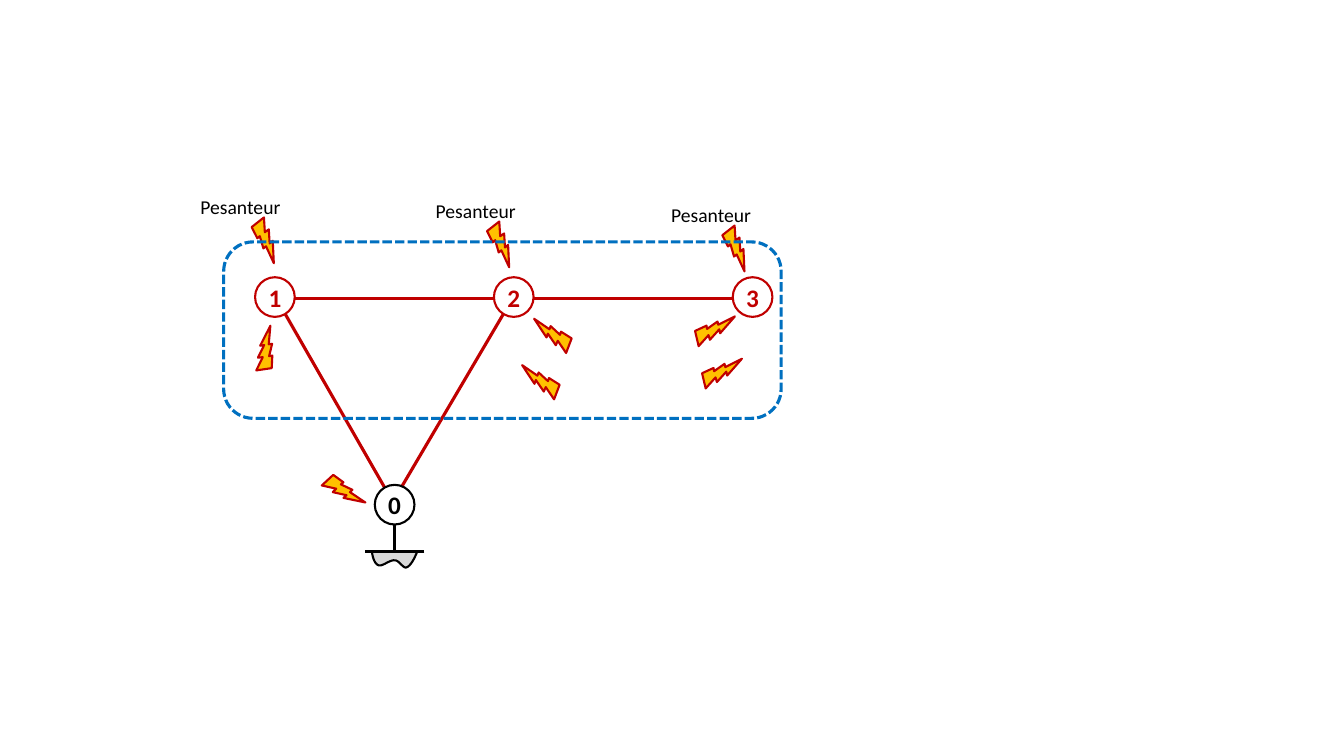
from pptx import Presentation
from pptx.dml.color import RGBColor
from pptx.enum.dml import MSO_LINE
from pptx.enum.shapes import MSO_CONNECTOR, MSO_SHAPE
from pptx.enum.text import MSO_ANCHOR, MSO_AUTO_SIZE, PP_ALIGN
from pptx.oxml.ns import qn
from pptx.util import Pt
from lxml import etree

STRAIGHT = MSO_CONNECTOR.STRAIGHT
OVAL = MSO_SHAPE.OVAL
BOLT = MSO_SHAPE.LIGHTNING_BOLT
ROUNDED = MSO_SHAPE.ROUNDED_RECTANGLE
DASH = MSO_LINE.SQUARE_DOT
MIDDLE = MSO_ANCHOR.MIDDLE
FIT = MSO_AUTO_SIZE.SHAPE_TO_FIT_TEXT
CENTER = PP_ALIGN.CENTER

BLACK = RGBColor(0, 0, 0)
WHITE = RGBColor(255, 255, 255)
RED = RGBColor(0xC0, 0, 0)
BLUE = RGBColor(0, 0x70, 0xC0)
GOLD = RGBColor(0xFF, 0xC0, 0)
GREY = RGBColor(0xD9, 0xD9, 0xD9)

FONT = "Calibri"
NODE_SIZE = 28.35
BOLT_SIZE = 25.9
THIN, THICK = 1.5, 2.25

NODES = [
    ("1", 196.4, 212.2, RED),
    ("2", 367, 212.2, RED),
    ("3", 537.6, 212.2, RED),
    ("0", 281.9, 360.5, BLACK),
]
LINKS = [
    (196.5, 211.7, 281.5, 360),
    (367, 211.7, 280.1, 359.3),
    (196.5, 213, 537.6, 213),
]
GROUND_LINES = [(281.8, 393.8, 281.8, 374.6), (303.1, 393.8, 260.6, 393.8)]
SOIL_START = (265.7, 394.6)
SOIL_CURVES = [
    ((266.4, 398.9), (267.8, 403.2), (270.7, 403.9)),
    ((273.6, 404.6), (278.6, 399.6), (282.2, 400.3)),
    ((285.1, 400.3), (288, 406.1), (290.2, 405.4)),
    ((293, 404.6), (295.9, 399.6), (298.1, 393.8)),
]
CURVE_STEPS = 10

CONTACT_BOLTS = [
    (176.4, 237.6, 146.9, True),
    (231.8, 337.7, 341.9, False),
    (382.3, 226.8, 86.3, True),
    (496.8, 223.2, 281.3, False),
    (373.7, 259.9, 86.3, True),
    (501.8, 253.4, 281.3, False),
]
GRAVITY = "Pesanteur"
GRAVITY_COUNT = 3
GRAVITY_STEP = (168.1, 2.9)
GRAVITY_BOLT = (177.1, 157.7)
GRAVITY_LABEL = (135.4, 135.4, 72.7, 24.5)
SYSTEM = (159.8, 172.8, 398.2, 126)

deck = Presentation()
deck.slide_width, deck.slide_height = Pt(960), Pt(540)
page = deck.slides.add_slide(deck.slide_layouts[6])


def paint(shape, fill, line, width):
    shape.shadow.inherit = False
    if fill is None:
        shape.fill.background()
    else:
        shape.fill.solid()
        shape.fill.fore_color.rgb = fill
    shape.line.color.rgb = line
    shape.line.width = Pt(width)


def add_shape(kind, frame, fill, line, width):
    shape = page.shapes.add_shape(kind, *map(Pt, frame))
    paint(shape, fill, line, width)
    return shape


def add_line(ends, color):
    line = page.shapes.add_connector(STRAIGHT, *map(Pt, ends))
    line.line.color.rgb = color
    line.line.width = Pt(THICK)
    etree.SubElement(line.element.spPr, qn("a:effectLst"))


def write(box, text, size, color, bold):
    frame = box.text_frame
    para = frame.paragraphs[0]
    para.text = text
    para.alignment = CENTER
    para.font.name = FONT
    para.font.size = Pt(size)
    para.font.bold = bold
    para.font.color.rgb = color
    return frame


def add_node(name, x, y, color):
    corner = (x - NODE_SIZE / 2, y - NODE_SIZE / 2)
    node = add_shape(OVAL, (*corner, NODE_SIZE, NODE_SIZE), WHITE, color, THIN)
    frame = write(node, name, 18, color, True)
    frame.vertical_anchor = MIDDLE
    frame.margin_left = frame.margin_right = 0
    frame.margin_top = frame.margin_bottom = 0


def add_bolt(x, y, angle, mirrored):
    bolt = add_shape(BOLT, (x, y, BOLT_SIZE, BOLT_SIZE), GOLD, RED, THIN)
    bolt.rotation = angle
    if mirrored:
        bolt.element.spPr.xfrm.set("flipH", "1")


def curve_points(start, curves):
    for first, second, end in curves:
        for step in range(1, CURVE_STEPS + 1):
            t = step / CURVE_STEPS
            u = 1 - t
            yield tuple(
                Pt(a * u**3 + 3 * b * u * u * t + 3 * c * u * t * t + d * t**3)
                for a, b, c, d in zip(start, first, second, end)
            )
        start = end


outline = page.shapes.build_freeform(*map(Pt, SOIL_START))
outline.add_line_segments(list(curve_points(SOIL_START, SOIL_CURVES)), close=False)
paint(outline.convert_to_shape(), GREY, BLACK, THIN)

for link in LINKS:
    add_line(link, RED)
for node in NODES:
    add_node(*node)
for ends in GROUND_LINES:
    add_line(ends, BLACK)
for bolt in CONTACT_BOLTS:
    add_bolt(*bolt)

for index in range(GRAVITY_COUNT):
    dx, dy = (index * step for step in GRAVITY_STEP)
    add_bolt(GRAVITY_BOLT[0] + dx, GRAVITY_BOLT[1] + dy, 297.2, True)
    left, top, width, height = GRAVITY_LABEL
    label = page.shapes.add_textbox(Pt(left + dx), Pt(top + dy), Pt(width), Pt(height))
    frame = write(label, GRAVITY, 14, BLACK, False)
    frame.word_wrap = False
    frame.auto_size = FIT

system = add_shape(ROUNDED, SYSTEM, None, BLUE, THICK)
system.line.dash_style = DASH

deck.save("out.pptx")
